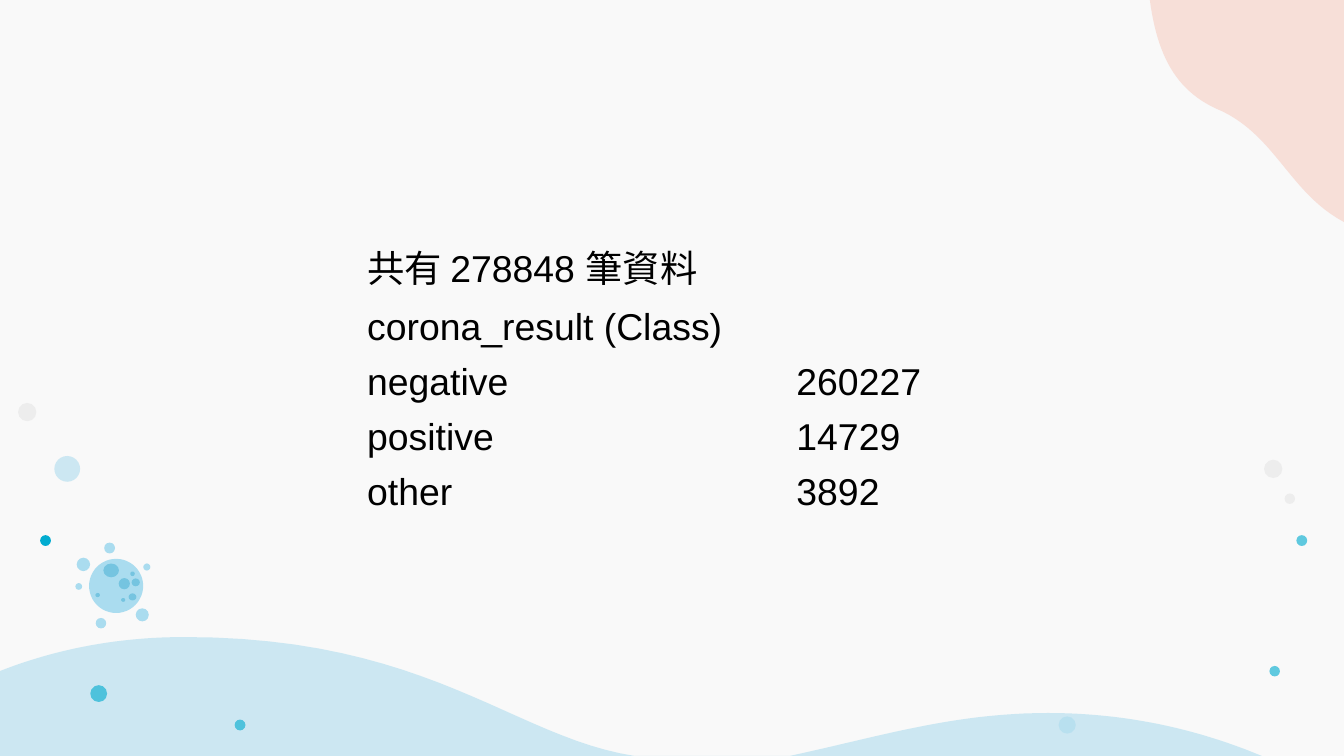
from pptx import Presentation
from pptx.dml.color import RGBColor
from pptx.enum.shapes import MSO_SHAPE
from pptx.oxml.ns import qn
from pptx.util import Pt
from lxml import etree

OVAL = MSO_SHAPE.OVAL
BLANK = 6
NO_STYLE = "{2D5ABB26-0587-4C30-8999-92F81FD0307C}"
W, H = 720, 405
COLORS = {
    "background": "F9F9F9",
    "wave": "AADBEE",
    "peach": "F5AD9A",
    "teal": "02ACD0",
    "gray": "EDEDED",
    "virus": "AADCEF",
    "spot": "75C4E0",
    "text": "000000",
}


def paint(sp, color, alpha=100):
    """Flat fill with an opacity in percent, no line, no shadow."""
    sp.shadow.inherit = False
    sp.line.fill.background()
    sp.fill.solid()
    sp.fill.fore_color.rgb = RGBColor.from_string(COLORS[color])
    if alpha < 100:
        clr = sp._element.spPr.find(qn("a:solidFill"))[0]
        etree.SubElement(clr, qn("a:alpha")).set("val", str(alpha * 1000))


def curve(p0, p1, p2, p3, steps=24):
    """Points along a cubic Bezier curve."""
    points = []
    for i in range(steps + 1):
        t = i / steps
        u = 1 - t
        points.append(tuple(
            u**3 * a + 3 * u * u * t * b + 3 * u * t * t * c + t**3 * d
            for a, b, c, d in zip(p0, p1, p2, p3)))
    return points


prs = Presentation()
prs.slide_width, prs.slide_height = Pt(W), Pt(H)
s = prs.slides.add_slide(prs.slide_layouts[BLANK])
s.background.fill.solid()
s.background.fill.fore_color.rgb = RGBColor.from_string(COLORS["background"])

# Wave along the bottom and blob in the top right corner
wave = (curve((0, 359.5), (32, 347), (65, 341.3), (99, 341.3))
        + curve((99, 341.3), (230, 341.3), (275, 395), (340, H))
        + curve((423, H), (470, 395), (510, 382), (561.5, 382))
        + curve((561.5, 382), (602, 382), (640, 390), (676, H))
        + [(0, H)])
corner = (curve((616, 0), (620, 30), (630, 48), (651, 58))
          + curve((651, 58), (683, 71), (690, 103), (W, 119))
          + [(W, 0)])
for points, color, alpha in [(wave, "wave", 57), (corner, "peach", 34)]:
    (x, y), *rest = [(Pt(px), Pt(py)) for px, py in points]
    fb = s.shapes.build_freeform(x, y)
    fb.add_line_segments(rest, close=True)
    paint(fb.convert_to_shape(), color, alpha)

# Dots and virus: centre x, centre y, width, height, colour, opacity
ovals = [
    # Loose dots
    (36, 251.2, 13.8, 13.8, "wave", 57),
    (52.9, 371.6, 9, 9, "teal", 62),
    (691, 267.2, 5.6, 5.6, "gray", 100),
    (14.6, 220.8, 9.8, 9.8, "gray", 100),
    (24.4, 289.6, 5.8, 5.8, "teal", 100),
    (128.6, 388.4, 5.8, 5.8, "teal", 62),
    (682.9, 359.6, 5.6, 5.6, "teal", 62),
    (571.7, 388.4, 9.2, 9.2, "wave", 57),
    (682.1, 251.2, 9.8, 9.8, "gray", 100),
    (697.4, 289.6, 5.8, 5.8, "teal", 62),
    # Virus body and the drops around it
    (62.2, 313.9, 29, 29, "virus", 100),
    (58.7, 293.6, 5.8, 5.8, "virus", 100),
    (54.1, 333.9, 5.6, 5.6, "virus", 100),
    (44.7, 302.4, 7.2, 7.2, "virus", 100),
    (76.2, 329.4, 7, 7, "virus", 100),
    (78.7, 303.8, 3.8, 3.8, "virus", 100),
    (42.2, 314.2, 3.6, 3.6, "virus", 100),
    # Spots on the virus
    (72.7, 312, 4.4, 4.2, "spot", 100),
    (71, 307.4, 2.4, 2.4, "spot", 100),
    (66.6, 312.7, 6, 6, "spot", 100),
    (59.6, 305.6, 8.4, 7.4, "spot", 100),
    (71, 319.8, 4.2, 3.8, "spot", 100),
    (52.3, 318.8, 2.4, 2.2, "spot", 100),
    (66, 321.4, 2.2, 2, "spot", 100),
]
for cx, cy, w, h, color, alpha in ovals:
    sp = s.shapes.add_shape(OVAL, Pt(cx - w / 2), Pt(cy - h / 2), Pt(w), Pt(h))
    paint(sp, color, alpha)

# Table of class counts
rows = [
    ("共有 278848 筆資料", ""),
    ("corona_result (Class)", ""),
    ("negative", "260227"),
    ("positive", "14729"),
    ("other", "3892"),
]
gf = s.shapes.add_table(len(rows), 2, Pt(189.5), Pt(124.5), Pt(340.5), Pt(147.5))
gf._element.find(".//" + qn("a:tableStyleId")).text = NO_STYLE
table = gf.table
table.first_row = table.horz_banding = False
for column, width in zip(table.columns, (230, 110.5)):
    column.width = Pt(width)
for i, row in enumerate(rows):
    table.rows[i].height = Pt(29.5)
    for j, text in enumerate(row):
        cell = table.cell(i, j)
        cell.fill.background()
        cell.text = text
        font = cell.text_frame.paragraphs[0].font
        for r in cell.text_frame.paragraphs[0].runs:
            font = r.font
        font.size = Pt(20)
        font.name = "Arial"
        font.color.rgb = RGBColor.from_string(COLORS["text"])

prs.save("out.pptx")
